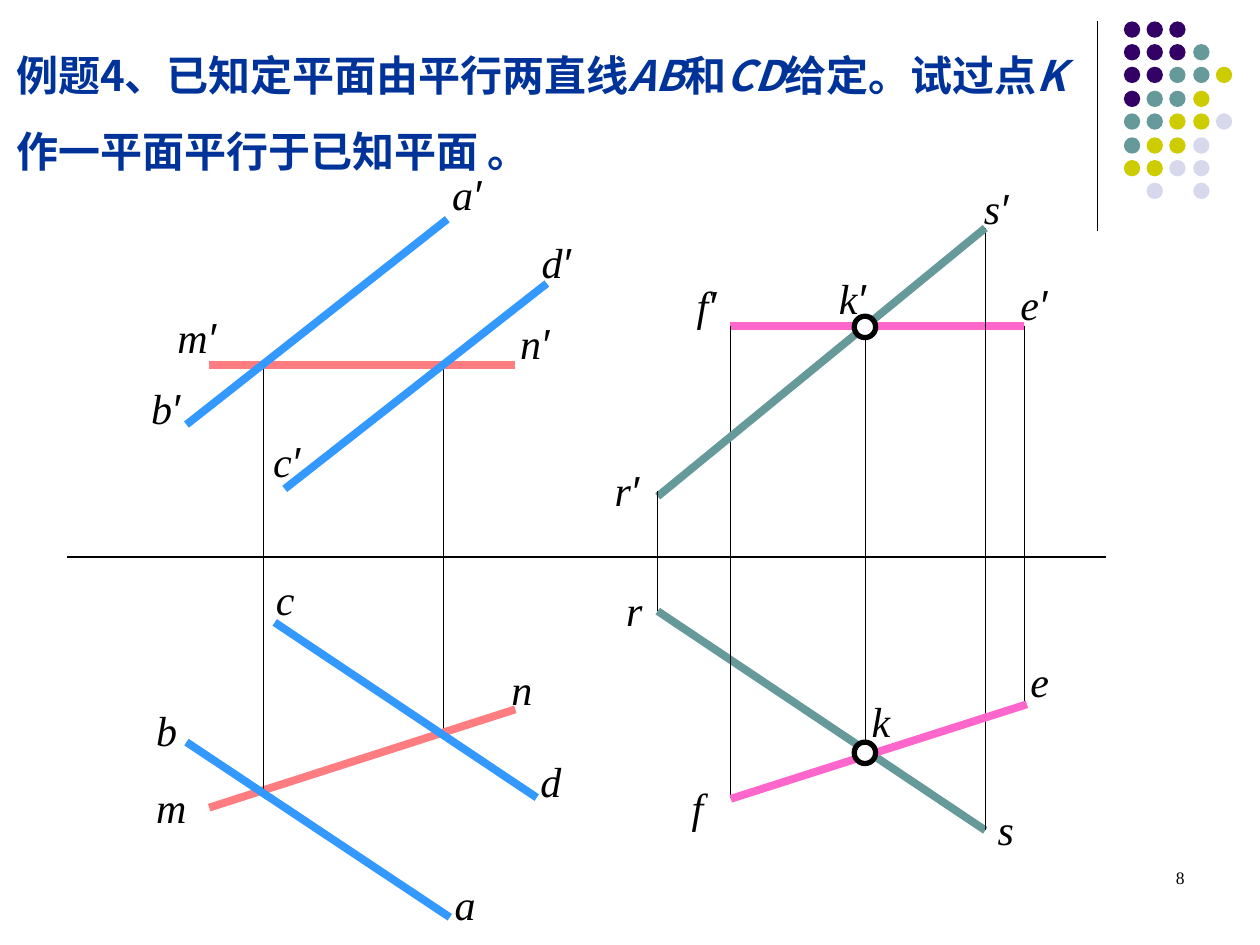
from collections import namedtuple
from dataclasses import dataclass

from lxml import etree
from pptx import Presentation
from pptx.dml.color import RGBColor
from pptx.enum.shapes import MSO_CONNECTOR, MSO_SHAPE
from pptx.enum.text import PP_ALIGN
from pptx.oxml.ns import qn
from pptx.util import Emu, Pt

STRAIGHT = MSO_CONNECTOR.STRAIGHT
OVAL = MSO_SHAPE.OVAL
RIGHT = PP_ALIGN.RIGHT
PX = 9144  # 100 px to the inch

Box = namedtuple("Box", "left top width height")


@dataclass(frozen=True)
class Theme:
    ink: str = "000000"
    paper: str = "FFFFFF"
    title: str = "003399"
    given: str = "3399FF"
    helper: str = "FF7C80"
    parallel: str = "FF66CC"
    crossing: str = "669999"
    purple: str = "330066"
    olive: str = "CCCC00"
    mist: str = "D8D8EC"
    title_font: str = "Noto Sans CJK SC"
    label_font: str = "Times New Roman"
    prime_font: str = "Arial"
    text_size: float = 24
    title_pitch: float = 43.4
    number_size: float = 10
    thin: float = 0.75
    thick: float = 4.5
    ring: float = 3


THEME = Theme()


def px(value):
    return Emu(value * PX)


def color(code):
    return RGBColor.from_string(code)


def add_line(page, box, start, end, stroke=THEME.ink, weight=THEME.thick):
    line = page.shapes.add_connector(
        STRAIGHT,
        px(box.left + start[0]), px(box.top + start[1]),
        px(box.left + end[0]), px(box.top + end[1]))
    line.line.color.rgb = color(stroke)
    line.line.width = Pt(weight)
    etree.SubElement(line._element.spPr, qn("a:effectLst"))


def add_thin_lines(page, box, lines):
    for start, end in lines:
        add_line(page, box, start, end, weight=THEME.thin)


def add_circle(page, box, left, top, size, fill, outlined=False):
    circle = page.shapes.add_shape(
        OVAL, px(box.left + left), px(box.top + top), px(size), px(size))
    circle.shadow.inherit = False
    circle.fill.solid()
    circle.fill.fore_color.rgb = color(fill)
    if outlined:
        circle.line.color.rgb = color(THEME.ink)
        circle.line.width = Pt(THEME.ring)
    else:
        circle.line.fill.background()


def add_text_frame(page, box):
    frame = page.shapes.add_textbox(*map(px, box)).text_frame
    frame.word_wrap = True
    return frame


def add_run(para, text, font, size, ink=THEME.ink, bold=False, italic=False):
    span = para.add_run()
    span.text = text
    span.font.name = font
    span.font.size = Pt(size)
    span.font.bold = bold
    span.font.italic = italic
    span.font.color.rgb = color(ink)
    return span


def add_labels(page, box, labels):
    """Place point names; a trailing prime takes its own font."""
    for text, left, top, width in labels:
        frame = add_text_frame(
            page, Box(box.left + left, box.top + top, width, 50))
        for letter in text:
            font = THEME.prime_font if letter == "′" else THEME.label_font
            add_run(frame.paragraphs[0], letter, font, THEME.text_size,
                    italic=True)


def draw_dots(page, box):
    rows = ("PPP", "PPPT", "PPTTY", "PTTY", "TTYYL", "TYYL", "YYLL", ".L.L")
    fills = {"P": THEME.purple, "T": THEME.crossing,
             "Y": THEME.olive, "L": THEME.mist}
    pitch = box.width / len(rows[2])
    for row, marks in enumerate(rows):
        for column, mark in enumerate(marks):
            if mark in fills:
                add_circle(page, box, int(column * pitch), int(row * pitch),
                           13, fills[mark])


def draw_given_plane(page, box):
    # Helper line MN and its projection lines
    add_thin_lines(page, box, [((252, 190), (252, 485))])
    add_line(page, box, (66, 190), (309, 190), THEME.helper)
    add_line(page, box, (66, 541), (309, 463), THEME.helper)
    add_thin_lines(page, box, [((109, 190), (109, 528))])
    # Parallel lines AB and CD in both views
    for start, end in (((334, 125), (126, 288)), ((118, 394), (326, 533)),
                       ((255, 74), (48, 237)), ((48, 489), (257, 628))):
        add_line(page, box, start, end, THEME.given)
    add_labels(page, box, [
        ("m′", 31, 142, 69), ("n′", 303, 147, 69),
        ("m", 14, 515, 69), ("n", 296, 422, 69),
        ("d′", 320, 83, 82), ("d", 319, 495, 46),
        ("c′", 107, 241, 92), ("c", 109, 350, 41),
        ("a′", 249, 29, 75), ("a", 251, 592, 41),
        ("b′", 10, 199, 69), ("b", 14, 454, 69)])


def draw_parallel_plane(page, box):
    # Lines EF and RS in both views, each crossing at K
    add_line(page, box, (72, 385), (332, 559), THEME.crossing)
    add_line(page, box, (363, 159), (129, 159), THEME.parallel)
    add_thin_lines(page, box, [
        ((363, 459), (363, 159)), ((130, 159), (130, 533)),
        ((332, 559), (332, 81))])
    add_line(page, box, (332, 81), (72, 294), THEME.crossing)
    add_line(page, box, (130, 534), (365, 459), THEME.parallel)
    add_thin_lines(page, box, [
        ((72, 290), (72, 385)), ((237, 159), (237, 498))])
    add_labels(page, box, [
        ("e", 358, 415, 46), ("e′", 350, 116, 66),
        ("f′", 93, 117, 94), ("f", 89, 515, 46),
        ("s", 332, 533, 69), ("s′", 321, 40, 69),
        ("r′", 28, 264, 69), ("r", 37, 359, 69),
        ("k′", 206, 111, 70), ("k", 232, 447, 70)])
    # Point K
    for top in (151, 489):
        add_circle(page, box, 228, top, 17, THEME.paper, outlined=True)


def write_title(page, box):
    frame = add_text_frame(page, box)
    frame.margin_top = px(8)
    para = frame.paragraphs[0]
    para.line_spacing = Pt(THEME.title_pitch)
    parts = ("例题4、已知定平面由平行两直线", "AB", "和", "CD",
             "给定。试过点", "K", "作一平面平行于已知平面 。")
    for text in parts:
        span = add_run(para, text, THEME.title_font, THEME.text_size,
                       THEME.title, bold=True, italic=text.isascii())
        east_asian = etree.SubElement(span.font._element, qn("a:ea"))
        east_asian.set("typeface", THEME.title_font)


def write_page_number(page, box):
    para = add_text_frame(page, box).paragraphs[0]
    para.alignment = RIGHT
    add_run(para, "8", THEME.label_font, THEME.number_size)


def main():
    deck = Presentation()
    deck.slide_width, deck.slide_height = px(1000), px(750)
    page = deck.slides.add_slide(deck.slide_layouts[6])
    whole = Box(0, 0, 1000, 750)

    # Corner ornament and its rule
    add_thin_lines(page, whole, [((871, 17), (871, 183))])
    draw_dots(page, Box(892, 17, 92, 147))

    # Two projection systems on a shared axis
    draw_given_plane(page, Box(100, 100, 400, 650))
    add_thin_lines(page, whole, [((53, 442), (878, 442))])
    draw_parallel_plane(page, Box(450, 100, 430, 600))

    write_title(page, Box(3, 11, 859, 130))
    write_page_number(page, Box(717, 683, 233, 50))
    deck.save("out.pptx")


if __name__ == "__main__":
    main()
